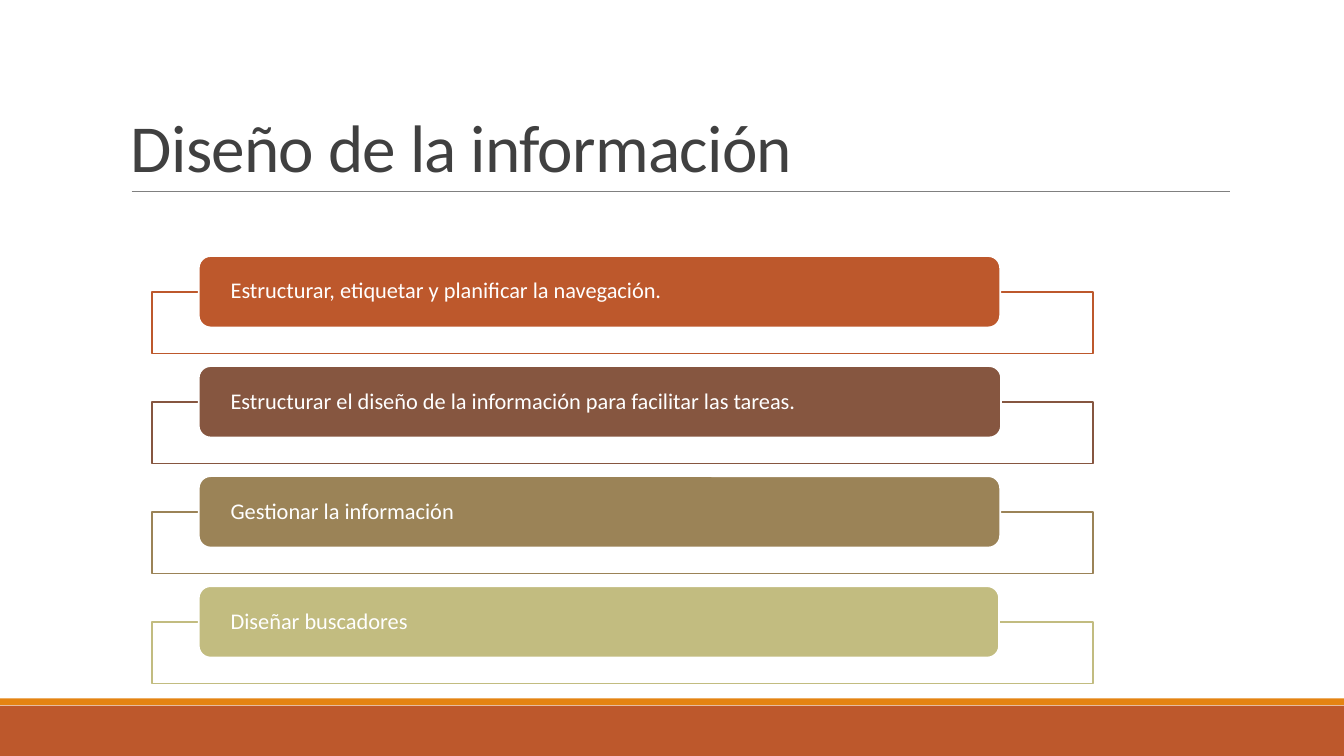
from lxml.etree import SubElement
from pptx import Presentation
from pptx.dml.color import RGBColor as RGB
from pptx.enum.shapes import MSO_CONNECTOR as Connector, MSO_SHAPE as Shape
from pptx.enum.text import MSO_ANCHOR as Anchor, PP_ALIGN as Align
from pptx.oxml.ns import qn
from pptx.util import Pt

COLORS = {
    "white": "FFFFFF", "ink": "404040", "rule": "808080", "orange": "E48312",
    "rust": "BD582C", "brown": "865640", "tan": "9B8357", "olive": "C2BC80",
}
TOPICS = [
    ("Estructurar, etiquetar y planificar la navegación.", "rust", 572.4),
    ("Estructurar el diseño de la información para facilitar las tareas.", "brown", 573.1),
    ("Gestionar la información", "tan", 572.4),
    ("Diseñar buscadores", "olive", 571.7),
]
FIRST_TOP = 182.9
PITCH = 78.6
FRAME_DROP = 25.6


class SlideBuilder:
    """Draws styled elements on one slide, with lengths in points."""

    def __init__(self, deck):
        self.font = "Calibri"
        self.slide = deck.slides.add_slide(deck.slide_layouts[6])

    def color(self, name):
        return RGB.from_string(COLORS[name])

    def box(self, kind, bounds, fill, line=None, alpha=None):
        shape = self.slide.shapes.add_shape(kind, *map(Pt, bounds))
        shape.shadow.inherit = False
        shape.fill.solid()
        shape.fill.fore_color.rgb = self.color(fill)
        if alpha:
            tint = shape._element.spPr.find(qn("a:solidFill"))[0]
            SubElement(tint, qn("a:alpha"), val=str(alpha * 1000))
        if line:
            shape.line.color.rgb = self.color(line)
            shape.line.width = Pt(1.25)
        else:
            shape.line.fill.background()
        return shape

    def rule(self, left, right, y, color):
        rule = self.slide.shapes.add_connector(
            Connector.STRAIGHT, Pt(left), Pt(y), Pt(right), Pt(y))
        rule.line.color.rgb = self.color(color)
        rule.line.width = Pt(0.5)
        SubElement(rule._element.spPr, qn("a:effectLst"))

    def add_text(self, shape, text, size, color, frame_format, spacing):
        frame = shape.text_frame
        for name, value in {"word_wrap": True, **frame_format}.items():
            setattr(frame, name, value)
        paragraph = frame.paragraphs[0]
        paragraph.alignment = Align.LEFT
        paragraph.line_spacing = spacing
        run = paragraph.add_run()
        run.text = text
        for name, value in {"name": self.font, "size": Pt(size)}.items():
            setattr(run.font, name, value)
        run.font.color.rgb = self.color(color)
        return run

    def title(self, text, bounds):
        heading = self.slide.shapes.add_textbox(*map(Pt, bounds))
        run = self.add_text(heading, text, 48, "ink", {"vertical_anchor": Anchor.BOTTOM}, 0.85)
        run._r.get_or_add_rPr().set("spc", "-50")

    def topic(self, text, color, top, width):
        self.box(Shape.RECTANGLE, (108.6, top + FRAME_DROP, 672, 44), "white", color, 90)
        label = self.box(Shape.ROUNDED_RECTANGLE, (142, top, width, 51), color, "white")
        self.add_text(label, text, 16, "white", {
            "vertical_anchor": Anchor.MIDDLE,
            "margin_left": Pt(20.3), "margin_right": Pt(20.3),
            "margin_top": 0, "margin_bottom": 0,
        }, 0.9)


def main():
    deck = Presentation()
    deck.slide_width, deck.slide_height = Pt(960), Pt(540)
    builder = SlideBuilder(deck)
    builder.box(Shape.RECTANGLE, (0, 504, 960, 36), "rust")
    builder.box(Shape.RECTANGLE, (0, 498.8, 960, 5), "orange")
    builder.rule(94, 878.8, 136.8, "rule")
    builder.title("Diseño de la información", (86.4, 22.6, 792, 114.2))
    for row, (text, color, width) in enumerate(TOPICS):
        builder.topic(text, color, FIRST_TOP + row * PITCH, width)
    deck.save("out.pptx")


if __name__ == "__main__":
    main()
